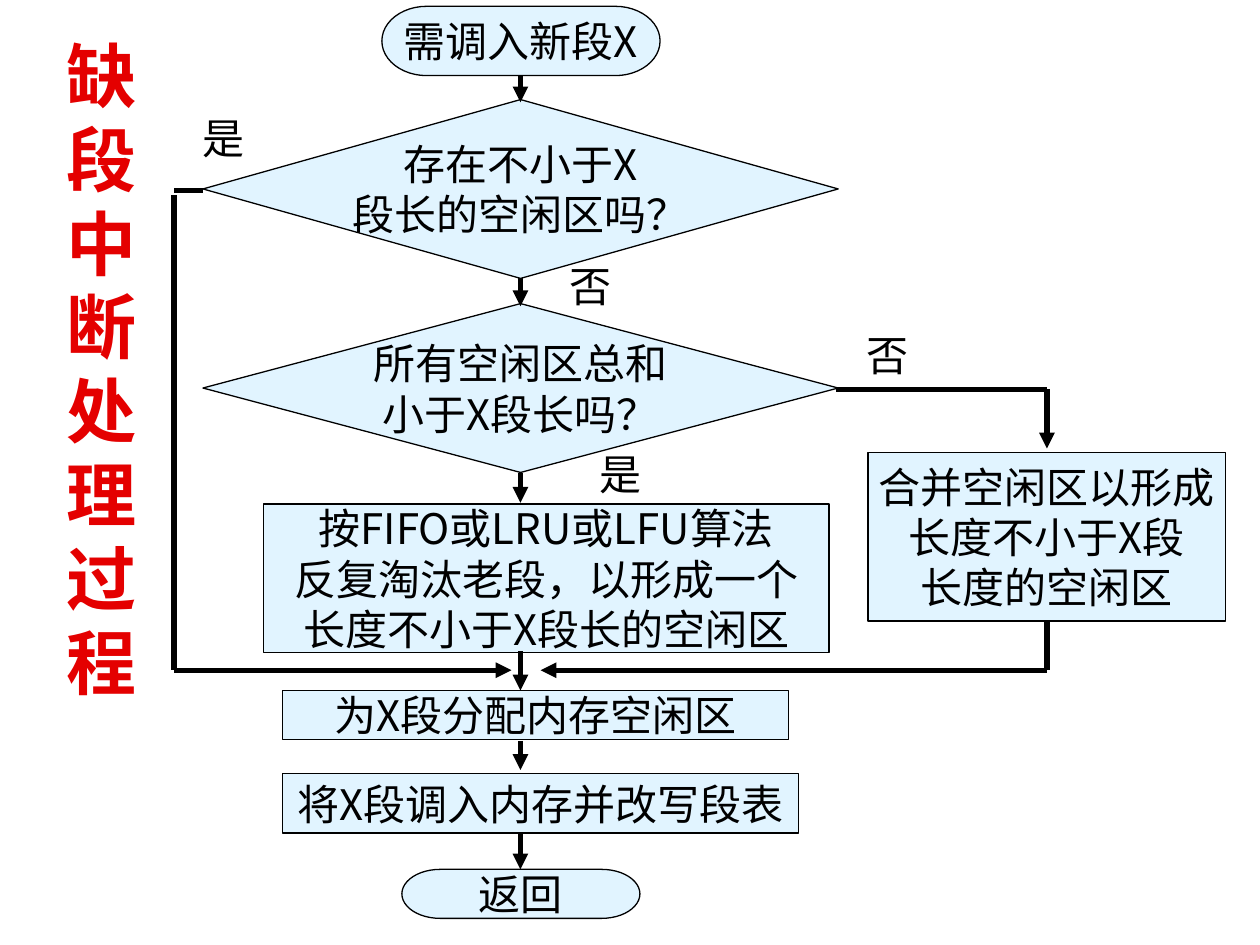
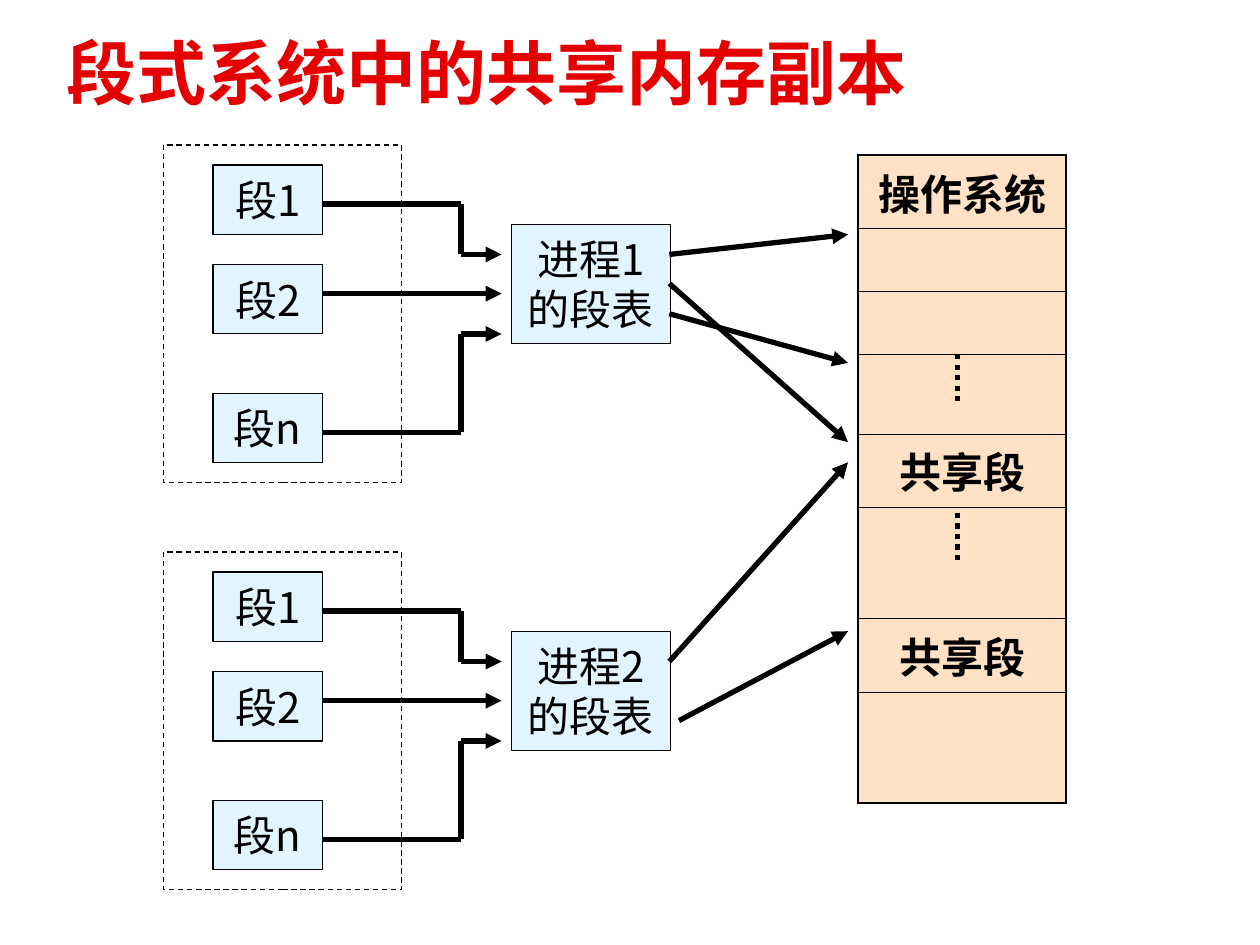
"""Build two slides on segmented memory: a fault flowchart and a sharing diagram."""
from dataclasses import dataclass
from itertools import pairwise

from lxml import etree
from pptx import Presentation
from pptx.dml.color import RGBColor as Rgb
from pptx.enum import dml, shapes, text
from pptx.oxml import ns
from pptx.util import Pt

KIND = shapes.MSO_SHAPE


@dataclass(frozen=True)
class Theme:
    ink: str = "000000"
    red: str = "E40000"
    white: str = "FFFFFF"
    blue: str = "E1F4FF"
    peach: str = "FFE2C5"
    head: str = "Arial"
    body: str = "Noto Sans CJK SC"
    big: float = 40
    size: float = 24
    lead: float = 1.2
    thin: float = 0.75
    thick: float = 3
    rim: float = 1.08
    rule: float = 0.45


class Deck:
    def __init__(self, theme):
        self.theme = theme
        self.show = Presentation()
        self.show.slide_width, self.show.slide_height = Pt(720), Pt(540)
        self.slide = None

    def start(self, words, box):
        self.slide = self.show.slides.add_slide(self.show.slide_layouts[5])
        title = self.slide.shapes.title
        title.left, title.top, title.width, title.height = map(Pt, box)
        self.paint(title, self.theme.white)
        frame = title.text_frame
        frame.auto_size = text.MSO_AUTO_SIZE.NONE
        self.put(frame, words, self.theme.big, self.theme.red, self.theme.head,
                 True, text.PP_ALIGN.LEFT, True)

    def paint(self, item, color):
        item.fill.solid()
        item.fill.fore_color.rgb = Rgb.from_string(color)

    def put(self, frame, words, size=None, color=None, face=None, bold=False,
            align=text.PP_ALIGN.CENTER, wrap=False):
        size = size or self.theme.size
        frame.word_wrap = wrap
        frame.vertical_anchor = text.MSO_ANCHOR.MIDDLE
        for i, line in enumerate(words.split("\n")):
            para = frame.add_paragraph() if i else frame.paragraphs[0]
            para.alignment = align
            para.line_spacing = Pt(size * self.theme.lead)
            run = para.add_run()
            run.text = line
            font = run.font
            font.name, font.size, font.bold = face or self.theme.body, Pt(size), bold
            font.color.rgb = Rgb.from_string(color or self.theme.ink)
            east = etree.SubElement(run._r.get_or_add_rPr(), ns.qn("a:ea"))
            east.set("typeface", self.theme.body)

    def stroke(self, line, width, dash=None):
        line.color.rgb = Rgb.from_string(self.theme.ink)
        line.width = Pt(width)
        if dash:
            line.dash_style = dash

    def node(self, words, box, kind=KIND.RECTANGLE):
        shape = self.slide.shapes.add_shape(kind, *map(Pt, box))
        shape.shadow.inherit = False
        self.paint(shape, self.theme.blue)
        self.stroke(shape.line, self.theme.thin)
        self.put(shape.text_frame, words)

    def frame(self, box):
        shape = self.slide.shapes.add_shape(KIND.RECTANGLE, *map(Pt, box))
        shape.shadow.inherit = False
        shape.fill.background()
        self.stroke(shape.line, self.theme.thin, dml.MSO_LINE.DASH)

    def label(self, words, x, y):
        box = self.slide.shapes.add_textbox(Pt(x), Pt(y), Pt(57), Pt(36))
        self.put(box.text_frame, words, wrap=True)

    def line(self, start, end, arrow=False, dash=None):
        link = self.slide.shapes.add_connector(
            shapes.MSO_CONNECTOR.STRAIGHT, *map(Pt, (*start, *end)))
        self.stroke(link.line, self.theme.thick, dash)
        props = link._element.spPr
        if arrow:
            tip = etree.SubElement(props.find(ns.qn("a:ln")), ns.qn("a:tailEnd"))
            tip.set("type", "triangle")
        etree.SubElement(props, ns.qn("a:effectLst"))

    def route(self, *stops):
        for start, end in pairwise(stops):
            self.line(start, end, arrow=end is stops[-1])

    def edge(self, props, place, side, width):
        line = etree.Element(ns.qn("a:" + side), w=str(int(Pt(width))))
        fill = etree.SubElement(line, ns.qn("a:solidFill"))
        etree.SubElement(fill, ns.qn("a:srgbClr"), val=self.theme.ink)
        props.insert(place, line)

    def stack(self, rows, x, y, width):
        total = sum(height for _, height in rows)
        grid = self.slide.shapes.add_table(
            len(rows), 1, Pt(x), Pt(y), Pt(width), Pt(total)).table
        grid.first_row = grid.horz_banding = False
        last = len(rows) - 1
        rim, rule = self.theme.rim, self.theme.rule
        for i, (words, height) in enumerate(rows):
            grid.rows[i].height = Pt(height)
            cell = grid.cell(i, 0)
            self.paint(cell, self.theme.peach)
            sides = {"lnL": rim, "lnR": rim, "lnT": rule if i else rim,
                     "lnB": rule if i < last else rim}
            for place, (side, thick) in enumerate(sides.items()):
                self.edge(cell._tc.get_or_add_tcPr(), place, side, thick)
            if words:
                cell.margin_top = Pt(9.6)
                self.put(cell.text_frame, words, face=self.theme.head,
                         bold=True, wrap=True)
                cell.vertical_anchor = text.MSO_ANCHOR.TOP


def flow(deck):
    deck.start("缺段中断处理过程", (31, 26, 51, 368.6))
    mid, left, right, join = 297.4, 99.4, 598.3, 383
    for words, box, kind in (
        ("需调入新段X", (218.2, 3.6, 159, 39.6), KIND.FLOWCHART_TERMINATOR),
        ("存在不小于X\n段长的空闲区吗？", (116, 56.9, 363, 102.2),
         KIND.FLOWCHART_DECISION),
        ("所有空闲区总和\n小于X段长吗？", (116, 173.5, 363, 96.5),
         KIND.FLOWCHART_DECISION),
        ("按FIFO或LRU或LFU算法\n反复淘汰老段，以形成一个\n长度不小于X段长的空闲区",
         (150.5, 288, 323.3, 85), KIND.RECTANGLE),
        ("合并空闲区以形成\n长度不小于X段\n长度的空闲区",
         (496, 258.5, 204.5, 96.5), KIND.RECTANGLE),
        ("为X段分配内存空闲区", (161.3, 394.6, 289.4, 28), KIND.RECTANGLE),
        ("将X段调入内存并改写段表", (161.3, 442, 295.2, 34), KIND.RECTANGLE),
        ("返回", (229.7, 496.8, 136, 28), KIND.FLOWCHART_TERMINATOR),
    ):
        deck.node(words, box, kind)
    for top, end in ((43.2, 58.5), (159, 175), (270, 287.3),
                     (372.2, 394.6), (423.4, 440), (476, 496.8)):
        deck.line((mid, top), (mid, end), arrow=True)
    deck.route((478, 222.5), (right, 222.5), (right, 256.3))
    deck.route((right, 355), (right, join), (309, join))
    deck.line((116, 108.7), (left, 108.7))
    deck.route((left, 111.6), (left, join), (292.3, join))
    for words, x, y in (("是", 99.4, 60.5), ("否", 309, 145.4),
                        ("否", 478.8, 185), ("是", 326.2, 252.7)):
        deck.label(words, x, y)


def group(deck, number, top):
    deck.frame((93.6, top, 136, 193))
    for name, drop in (("1", 11.5), ("2", 68.4), ("n", 142)):
        deck.node("段" + name, (121.7, top + drop, 62.6, 39.6))
    deck.node(f"进程{number}\n的段表", (292.3, top + 45.4, 90.7, 68))
    out, bend, tip = 184.3, 263.5, 286.6
    for source, target in ((33.8, 62.6), (164.2, 108)):
        deck.route((out, top + source), (bend, top + source),
                   (bend, top + target), (tip, top + target))
    deck.route((out, top + 85), (tip, top + 85))


def share(deck):
    deck.start("段式系统中的共享内存副本", (31, 15.1, 504.7, 51))
    for number in (1, 2):
        group(deck, number, 82.8 + 232.6 * (number - 1))
    deck.stack((("操作系统", 42), ("", 36), ("", 36), ("", 45.4),
                ("共享段", 42), ("", 63.4), ("共享段", 42), ("", 63.4)),
               490.3, 88.6, 119)
    for top in (202.3, 293):
        deck.line((547.2, top), (547.2, top + 28), dash=dml.MSO_LINE.ROUND_DOT)
    for x, start, end in ((382.5, 145.4, 134), (382.5, 179.3, 207.4),
                          (382.5, 162, 252.7), (382.5, 378, 264.2),
                          (388, 411.8, 360.7)):
        deck.line((x, start), (484.6, end), arrow=True)


def main():
    deck = Deck(Theme())
    flow(deck)
    share(deck)
    deck.show.save("out.pptx")


if __name__ == "__main__":
    main()
